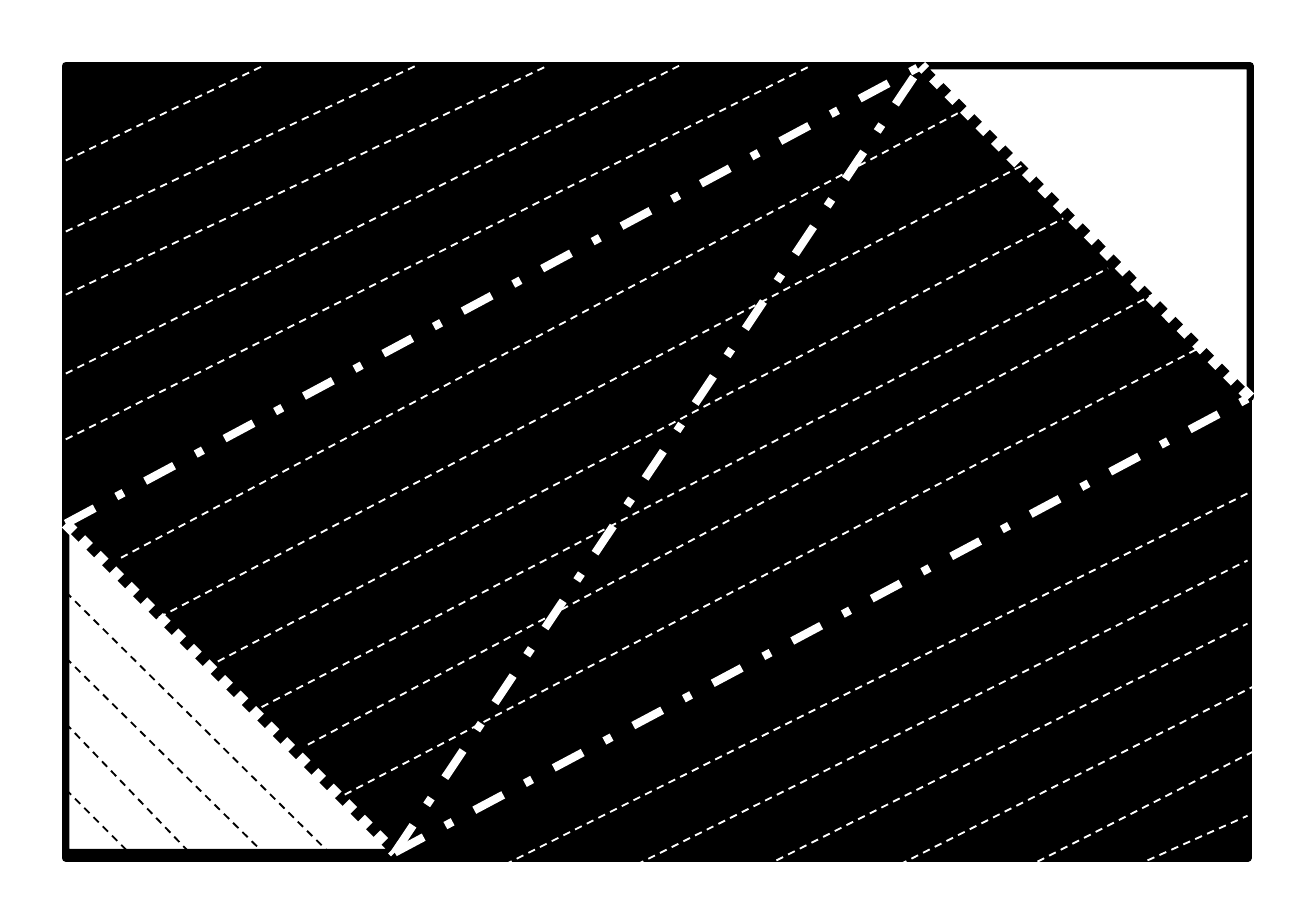
from dataclasses import dataclass

from lxml import etree
from pptx import Presentation
from pptx import util as u
from pptx.dml.color import RGBColor
from pptx.enum import dml, shapes
from pptx.oxml.ns import qn

BLACK = RGBColor(0x00, 0x00, 0x00)
WHITE = RGBColor(0xFF, 0xFF, 0xFF)

WIDTH, HEIGHT = u.Inches(5), u.Inches(3.5)
COLS, ROWS = 20, 14

KIND = shapes.MSO_SHAPE
DASH = dml.MSO_LINE


@dataclass(frozen=True)
class Point:
    col: float
    row: float

    @property
    def left(self) -> int:
        return round(self.col * WIDTH / COLS)

    @property
    def top(self) -> int:
        return round(self.row * HEIGHT / ROWS)


@dataclass(frozen=True)
class Pen:
    color: RGBColor
    weight: float
    dash: dml.MSO_LINE


@dataclass(frozen=True)
class Patch:
    kind: shapes.MSO_SHAPE
    start: Point
    size: Point
    fill: RGBColor
    weight: float
    turn: float = 0


EDGE = Pen(WHITE, 3, DASH.ROUND_DOT)
FOLD = Pen(WHITE, 2.25, DASH.DASH_DOT)
LIGHT = Pen(WHITE, 0.5, DASH.DASH)
DARK = Pen(BLACK, 0.5, DASH.DASH)

# Corners of the slanted band
WEST, SOUTH = Point(1, 7.96), Point(6, 12.96)
EAST, NORTH = Point(19, 6.04), Point(14, 1)

PATCHES = [
    Patch(KIND.FLOWCHART_PROCESS, Point(1, 1), Point(17.96, 12.04), BLACK, 2.25),
    Patch(KIND.RIGHT_TRIANGLE, NORTH, Point(5, 5.04), WHITE, 2, 180),
    Patch(KIND.RIGHT_TRIANGLE, WEST, Point(5, 5), WHITE, 2),
]

EDGES = [(WEST, SOUTH), (EAST, NORTH)]
FOLDS = [(WEST, NORTH), (SOUTH, EAST), (SOUTH, NORTH)]

# Hatching above the band runs from the left side to the top side
UPPER = [
    (Point(1, row), Point(col, 1))
    for row, col in [(2.44, 4), (3.52, 6.32), (4.48, 8.32), (5.68, 10.32), (6.68, 12.32)]
]
MIDDLE = [
    (Point(1.84, 8.48), Point(14.56, 1.72)),
    (Point(2.24, 9.48), Point(15.68, 2.44)),
    (Point(2.96, 10.24), Point(16.16, 3.32)),
    (Point(3.8, 10.84), Point(16.84, 4.08)),
    (Point(4.68, 11.32), Point(17.52, 4.48)),
    (Point(5.24, 12.08), Point(18.32, 5.24)),
]
LOWER = [
    (Point(7.32, 13.32), Point(19.32, 7.32)),
    (Point(9.32, 13.32), Point(18.96, 8.52)),
    (Point(11.8, 13.08), Point(18.96, 9.48)),
    (Point(13.32, 13.32), Point(19.12, 10.4)),
    (Point(14, 14), Point(19.8, 11.04)),
    (Point(17.44, 13.08), Point(18.96, 12.4)),
]
# Hatching in the white corner starts one row apart
CORNER = [
    (Point(1, 9 + step), Point(col, 12.96)) for step, col in enumerate([5, 4, 2.88, 1.96])
]


def draw_patch(slide, patch: Patch) -> None:
    shape = slide.shapes.add_shape(
        patch.kind, patch.start.left, patch.start.top, patch.size.left, patch.size.top
    )
    shape.rotation = patch.turn
    shape.shadow.inherit = False
    shape.fill.solid()
    shape.fill.fore_color.rgb = patch.fill
    shape.line.color.rgb = BLACK
    shape.line.width = u.Pt(patch.weight)


def draw_line(slide, start: Point, end: Point, pen: Pen) -> None:
    line = slide.shapes.add_connector(
        shapes.MSO_CONNECTOR.STRAIGHT, start.left, start.top, end.left, end.top
    )
    line.line.color.rgb = pen.color
    line.line.width = u.Pt(pen.weight)
    line.line.dash_style = pen.dash
    etree.SubElement(line._element.spPr, qn("a:effectLst"))


def main() -> None:
    deck = Presentation()
    deck.slide_width, deck.slide_height = WIDTH, HEIGHT
    slide = deck.slides.add_slide(deck.slide_layouts[6])
    for patch in PATCHES:
        draw_patch(slide, patch)
    groups = [(EDGES, EDGE), (FOLDS, FOLD), (UPPER + MIDDLE + LOWER, LIGHT), (CORNER, DARK)]
    for group, pen in groups:
        for start, end in group:
            draw_line(slide, start, end, pen)
    deck.save("out.pptx")


if __name__ == "__main__":
    main()
